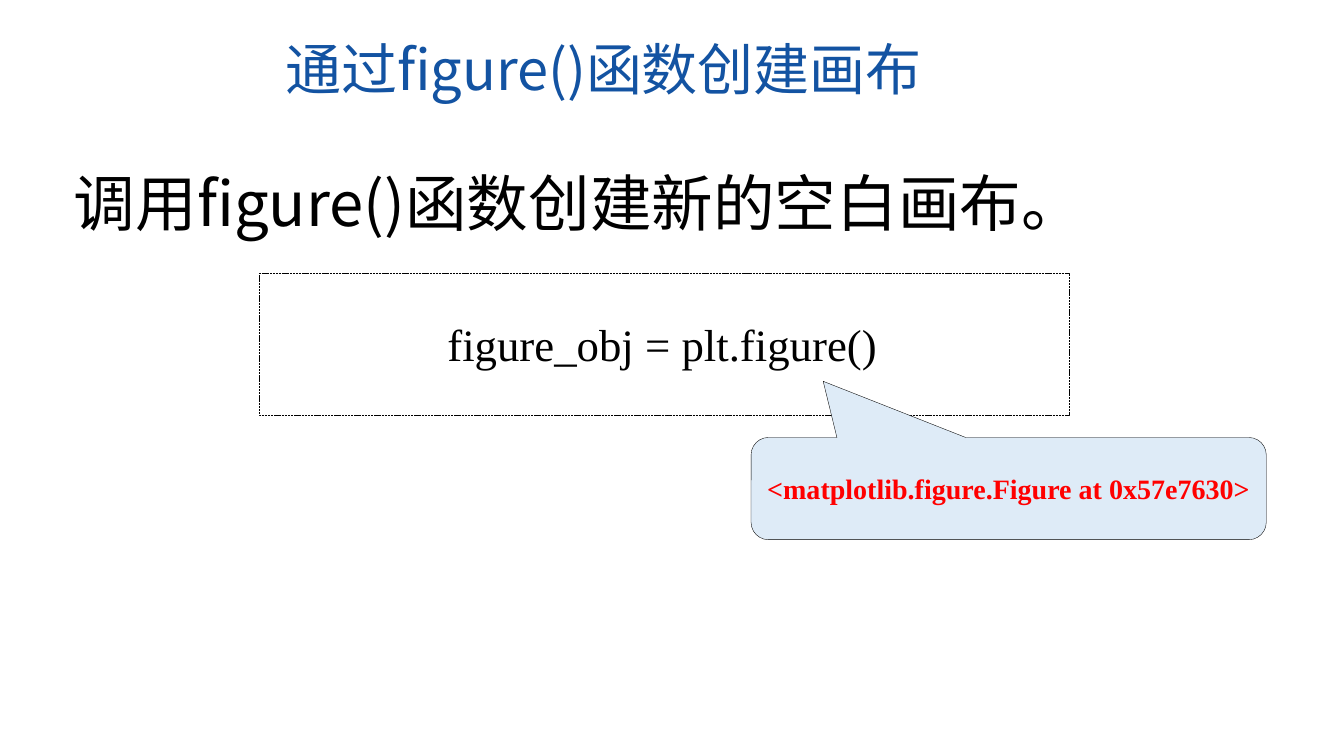
from pptx import Presentation
from pptx.dml.color import RGBColor
from pptx.enum import dml, shapes, text
from pptx.oxml.ns import qn
from pptx.util import Pt

BLUE = RGBColor(0x13, 0x53, 0xA2)
BLACK = RGBColor(0, 0, 0)
RED = RGBColor(0xFF, 0, 0)
PALE_BLUE = RGBColor(0xDE, 0xEB, 0xF7)
SANS = "Noto Sans CJK SC"
SERIF = "Times New Roman"


def write(sp, words, font, size, color, bold=False,
          align=text.PP_ALIGN.LEFT, anchor=text.MSO_ANCHOR.MIDDLE):
    """Fill a shape with one formatted paragraph and return the paragraph."""
    tf = sp.text_frame
    tf.text = words
    tf.word_wrap = True
    tf.auto_size = text.MSO_AUTO_SIZE.NONE
    tf.vertical_anchor = anchor
    p = tf.paragraphs[0]
    p.alignment = align
    r = p.runs[0]
    r.font.name = font
    r.font.size = Pt(size)
    r.font.bold = bold
    r.font.color.rgb = color
    east_asian = r.font._element.makeelement(qn("a:ea"), {"typeface": font})
    r.font._element.find(qn("a:latin")).addnext(east_asian)
    return p


def place(sp, left, top, width, height):
    sp.left, sp.top, sp.width, sp.height = map(Pt, (left, top, width, height))


def remove_bullet(p):
    pPr = p._p.get_or_add_pPr()
    pPr.set("marL", "0")
    pPr.set("indent", "0")
    pPr.append(pPr.makeelement(qn("a:buNone"), {}))


def add_outlined(slide, kind, left, top, width, height, line_width):
    sp = slide.shapes.add_shape(kind, *map(Pt, (left, top, width, height)))
    sp.shadow.inherit = False
    sp.fill.background()
    sp.line.color.rgb = BLACK
    sp.line.width = Pt(line_width)
    return sp


def add_code(slide, words, left, top, width, height):
    sp = slide.shapes.add_textbox(*map(Pt, (left, top, width, height)))
    write(sp, words, SERIF, 32, BLACK, anchor=text.MSO_ANCHOR.TOP)


def add_callout(slide, words, left, top, width, height):
    sp = add_outlined(slide, shapes.MSO_SHAPE.ROUNDED_RECTANGULAR_CALLOUT,
                      left, top, width, height, 0.25)
    sp.fill.solid()
    sp.fill.fore_color.rgb = PALE_BLUE
    for i, value in enumerate((-0.36, -1.05, 0.17)):
        sp.adjustments[i] = value
    sp.text_frame.margin_left = sp.text_frame.margin_right = 0
    write(sp, words, SERIF, 20, RED, bold=True, align=text.PP_ALIGN.CENTER)


def main():
    prs = Presentation()
    prs.slide_width, prs.slide_height = Pt(960), Pt(540)
    slide = prs.slides.add_slide(prs.slide_layouts[1])

    title, body = slide.placeholders
    place(title, 196.5, 21, 489.5, 55.5)
    write(title, "通过figure()函数创建画布", SANS, 40, BLUE)

    place(body, 45.5, 103.5, 868, 71.5)
    p = write(body, "调用figure()函数创建新的空白画布。", SANS, 44, BLACK)
    p.line_spacing = 1.2
    p.space_before = Pt(0)
    remove_bullet(p)

    add_code(slide, "figure_obj = plt.figure()", 312.5, 222.5, 323.5, 46)
    frame = add_outlined(slide, shapes.MSO_SHAPE.RECTANGLE,
                         185.5, 195, 578, 101.5, 0.5)
    frame.line.dash_style = dml.MSO_LINE.SQUARE_DOT
    add_callout(slide, "<matplotlib.figure.Figure at 0x57e7630>",
                536.5, 312.5, 368, 73)

    prs.save("out.pptx")


if __name__ == "__main__":
    main()
